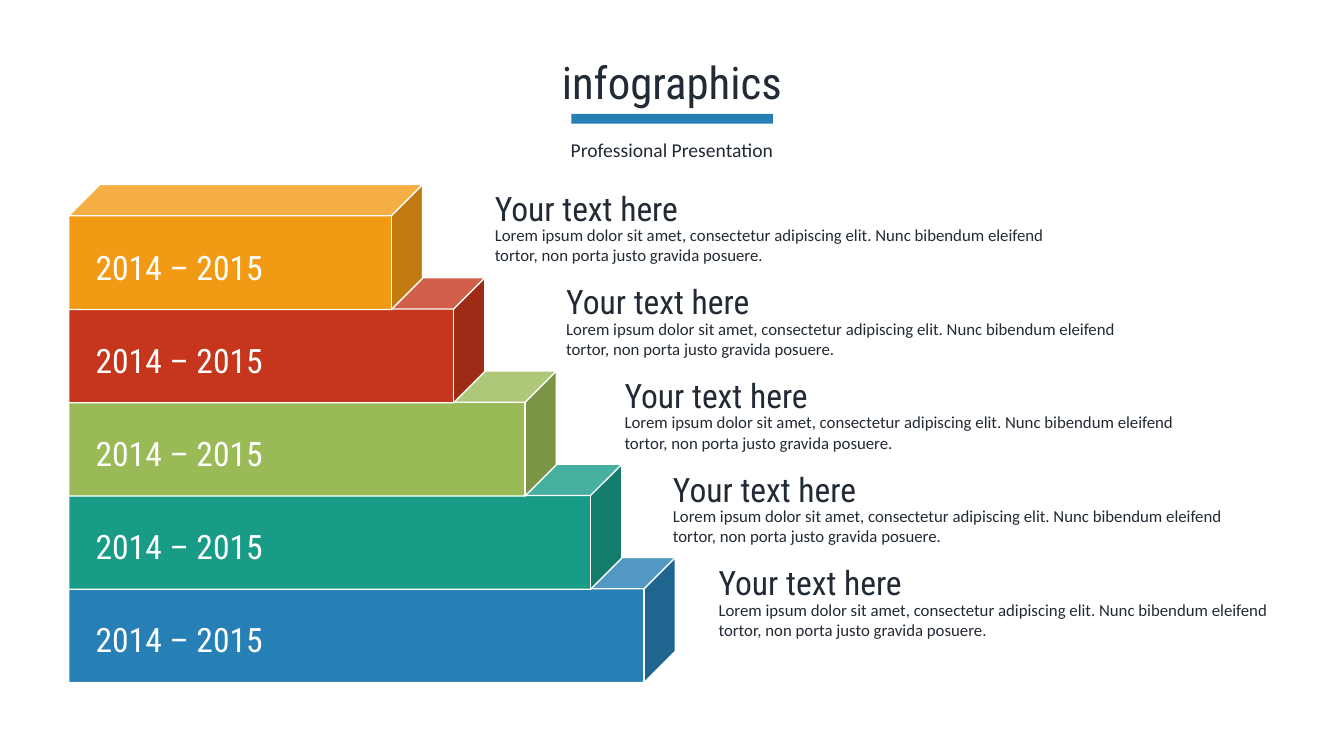
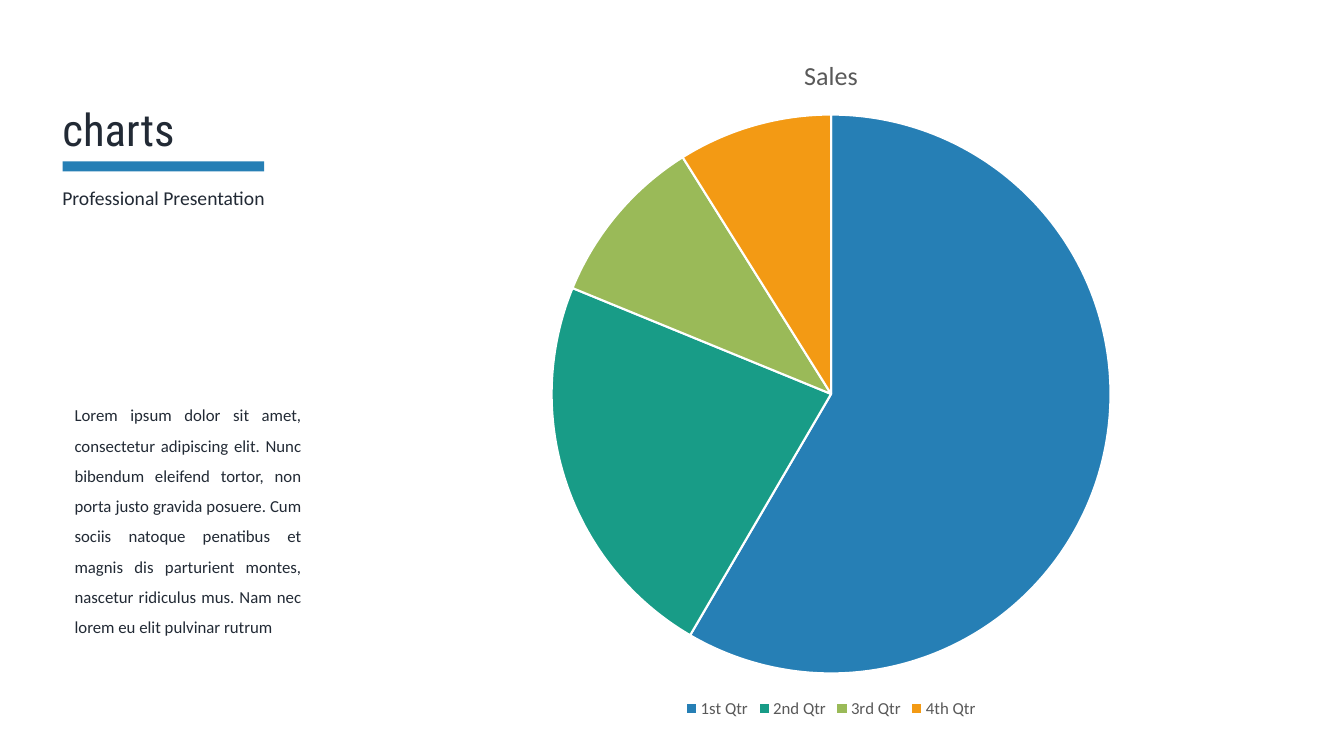
"""Build a stepped infographic slide and a pie chart slide."""
from pptx import Presentation
from pptx.chart.data import CategoryChartData
from pptx.dml.color import RGBColor
from pptx.enum.chart import XL_CHART_TYPE, XL_LEGEND_POSITION
from pptx.enum.shapes import MSO_SHAPE
from pptx.enum.text import MSO_ANCHOR, MSO_AUTO_SIZE, PP_ALIGN
from pptx.util import Cm, Pt

CUBE, RECTANGLE = MSO_SHAPE.CUBE, MSO_SHAPE.RECTANGLE
LEFT, CENTER, JUSTIFY = PP_ALIGN.LEFT, PP_ALIGN.CENTER, PP_ALIGN.JUSTIFY
PIE, BOTTOM = XL_CHART_TYPE.PIE, XL_LEGEND_POSITION.BOTTOM
TOP, NO_AUTOSIZE = MSO_ANCHOR.TOP, MSO_AUTO_SIZE.NONE

HEADING_FONT, BODY_FONT = "Roboto Condensed", "Calibri"
COLORS = {
    name: RGBColor.from_string(value)
    for name, value in {
        "ink": "222A35", "gray": "595959", "white": "FFFFFF",
        "blue": "267FB5", "teal": "189C87", "green": "9ABA58",
        "red": "C5361C", "orange": "F39A14",
    }.items()
}
LOREM = ("Lorem ipsum dolor sit amet, consectetur adipiscing elit. Nunc bibendum "
         "eleifend tortor, non porta justo gravida posuere.")


def write_text(slide, text, left, top, width, height, shape=None, size=12,
               font=BODY_FONT, color="ink", align=LEFT, spacing=1.0):
    """Write one formatted paragraph into a given shape or a new text box."""
    box = [Cm(length) for length in (left, top, width, height)]
    if shape is None:
        shape = slide.shapes.add_textbox(*box)
    shape.left, shape.top, shape.width, shape.height = box
    frame = shape.text_frame
    frame.word_wrap = True
    frame.auto_size = NO_AUTOSIZE
    frame.vertical_anchor = TOP
    frame.text = text
    paragraph = frame.paragraphs[0]
    paragraph.alignment = align
    paragraph.line_spacing = spacing
    paragraph.font.size = Pt(size)
    paragraph.font.name = font
    paragraph.font.color.rgb = COLORS[color]


def add_titled_slide(title, left, top, width, bar_left, align):
    """Add a slide with its title, blue bar and subtitle."""
    slide = presentation.slides.add_slide(presentation.slide_layouts[5])
    write_text(slide, title, left, top, width, 1.63, shape=slide.shapes.title,
               size=32, font=HEADING_FONT, align=align)
    write_text(slide, "Professional Presentation", left, top + 2.11, width, 0.86,
               size=14, align=align)
    bar = slide.shapes.add_shape(RECTANGLE, Cm(bar_left), Cm(top + 1.63), Cm(5.08), Cm(0.25))
    bar.shadow.inherit = False
    bar.fill.solid()
    bar.fill.fore_color.rgb = COLORS["blue"]
    bar.line.fill.background()
    return slide


presentation = Presentation()
presentation.slide_width, presentation.slide_height = Cm(33.87), Cm(19.05)

slide = add_titled_slide("infographics", 0, 1.24, 33.87, 14.4, CENTER)
steps = [
    ("orange", 8.92, 12.22),
    ("red", 10.49, 14.02),
    ("green", 12.29, 15.49),
    ("teal", 13.94, 16.71),
    ("blue", 15.29, 17.86),
]
for row, (color, cube_width, text_left) in reversed(list(enumerate(steps))):
    cube = slide.shapes.add_shape(CUBE, Cm(1.73), Cm(4.65 + 2.35 * row),
                                  Cm(cube_width), Cm(3.15))
    cube.shadow.inherit = False
    cube.fill.solid()
    cube.fill.fore_color.rgb = COLORS[color]
    cube.line.color.rgb = COLORS["white"]
    cube.line.width = Pt(1)
    write_text(slide, "2014 – 2015", 2.16, 6.1 + 2.34 * row, 8.05, 1.27,
               size=24, font=HEADING_FONT, color="white")
    heading_top = 4.6 + 2.36 * row
    write_text(slide, LOREM, text_left, heading_top + 0.94, 14.63, 1.27)
    write_text(slide, "Your text here", text_left, heading_top, 8.05, 1.27,
               size=24, font=HEADING_FONT)

slide = add_titled_slide("charts", 1.32, 2.44, 16.5, 1.58, LEFT)
write_text(slide, LOREM + " Cum sociis natoque penatibus et magnis dis parturient montes, "
           "nascetur ridiculus mus. Nam nec lorem eu elit pulvinar rutrum",
           1.63, 9.83, 6.22, 6.4, align=JUSTIFY, spacing=1.5)

chart_data = CategoryChartData()
chart_data.categories = ["1st Qtr", "2nd Qtr", "3rd Qtr", "4th Qtr"]
chart_data.add_series("Sales", (59, 23, 10, 9))
chart = slide.shapes.add_chart(PIE, Cm(8.03), Cm(0.84), Cm(25.83), Cm(17.37), chart_data).chart
chart.font.name = BODY_FONT
chart.font.size = Pt(10)
chart.has_title = True
chart.chart_title.include_in_layout = False
chart.chart_title.text_frame.text = "Sales"
chart.has_legend = True
chart.legend.position = BOTTOM
chart.legend.include_in_layout = False
title_font = chart.chart_title.text_frame.paragraphs[0].font
title_font.bold = False
for font, size in ((title_font, 18.6), (chart.legend.font, 12)):
    font.name = BODY_FONT
    font.size = Pt(size)
    font.color.rgb = COLORS["gray"]

plot = chart.plots[0]
plot.vary_by_categories = True
for index, color in enumerate(("blue", "teal", "green", "orange")):
    slice_format = plot.series[0].points[index].format
    slice_format.fill.solid()
    slice_format.fill.fore_color.rgb = COLORS[color]
    slice_format.line.color.rgb = COLORS["white"]
    slice_format.line.width = Pt(1.5)

presentation.save("out.pptx")
